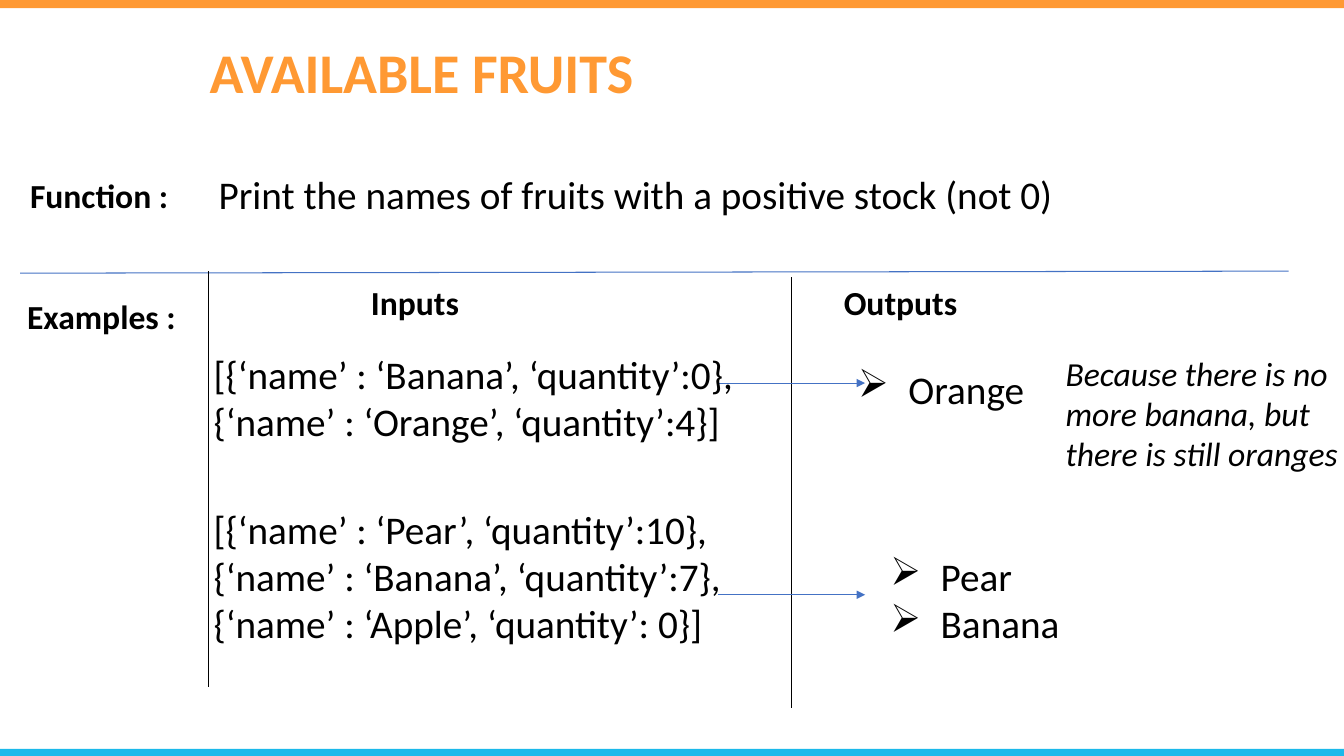
"""Build the Available Fruits exercise slide."""
import pptx
import pptx.util
import pptx.dml.color
import pptx.enum.shapes
import pptx.enum.text
import pptx.oxml
import pptx.oxml.ns
import lxml.etree

Inches = pptx.util.Inches
qn = pptx.oxml.ns.qn


def rgb(value):
    return pptx.dml.color.RGBColor.from_string(value)


def write(sp, box, lines, size, color="000000", bold=False, italic=False):
    sp.left, sp.top, sp.width, sp.height = [Inches(v) for v in box]
    tf = sp.text_frame
    tf.word_wrap = True
    tf.auto_size = pptx.enum.text.MSO_AUTO_SIZE.NONE
    tf.vertical_anchor = pptx.enum.text.MSO_ANCHOR.TOP
    for i, line in enumerate(lines):
        p = tf.add_paragraph() if i else tf.paragraphs[0]
        p.alignment = pptx.enum.text.PP_ALIGN.LEFT
        p.space_before = pptx.util.Pt(0)
        r = p.add_run()
        r.text = line
        r.font.name = "Calibri"
        r.font.size = pptx.util.Pt(size)
        r.font.bold = bold
        r.font.italic = italic
        r.font.color.rgb = rgb(color)


prs = pptx.Presentation()
prs.slide_width = Inches(13.33)
prs.slide_height = Inches(7.5)
s = prs.slides.add_slide(prs.slide_layouts.get_by_name("Two Content"))

for top, height, color in [(0, 0.08, "FF9933"), (7.43, 0.07, "1BB9EA")]:
    sp = s.shapes.add_shape(pptx.enum.shapes.MSO_SHAPE.RECTANGLE,
                            0, Inches(top), prs.slide_width, Inches(height))
    sp.shadow.inherit = False
    sp.fill.solid()
    sp.fill.fore_color.rgb = rgb(color)
    sp.line.fill.background()

lines = [
    (0.2, 2.71, 12.78, 2.69, "4472C4", False),
    (2.07, 2.69, 2.07, 6.82, "000000", False),
    (7.85, 2.75, 7.85, 7.02, "000000", False),
    (7.12, 3.8, 8.58, 3.8, "4472C4", True),
    (7.12, 5.9, 8.58, 5.9, "4472C4", True),
]
for x1, y1, x2, y2, color, arrow in lines:
    cxn = s.shapes.add_connector(pptx.enum.shapes.MSO_CONNECTOR.STRAIGHT,
                                 Inches(x1), Inches(y1), Inches(x2), Inches(y2))
    cxn.line.color.rgb = rgb(color)
    cxn.line.width = pptx.util.Pt(0.75)
    if arrow:
        ln = cxn.line._get_or_add_ln()
        lxml.etree.SubElement(ln, qn("a:tailEnd"), type="triangle")
    lxml.etree.SubElement(cxn._element.spPr, qn("a:effectLst"))

write(s.shapes.title, (1.98, 0.32, 4.46, 0.77), ["AVAILABLE FRUITS"], 40, "FF9933", bold=True)

labels = [
    ("Function :", 0.2, 1.69, 2.04),
    ("Examples :", 0.17, 2.89, 2.07),
    ("Inputs", 3.58, 2.75, 2.38),
    ("Outputs", 8.27, 2.75, 1.51),
]
for text, left, top, width in labels:
    sp = s.shapes.add_textbox(0, 0, 0, 0)
    write(sp, (left, top, width, 0.91), [text], 24, bold=True)

texts = [
    ((2.07, 1.64, 11.14, 0.57), ["Print the names of fruits with a positive stock (not 0)"]),
    ((2.02, 3.43, 5.5, 1.04), ["[{‘name’ : ‘Banana’, ‘quantity’:0},",
                               "{‘name’ : ‘Orange’, ‘quantity’:4}]"]),
    ((2.02, 4.96, 5.83, 1.51), ["[{‘name’ : ‘Pear’, ‘quantity’:10},",
                                "{‘name’ : ‘Banana’, ‘quantity’:7},",
                                "{‘name’ : ‘Apple’, ‘quantity’: 0}]"]),
]
for box, text in texts:
    write(s.shapes.add_textbox(0, 0, 0, 0), box, text, 28)

outputs = [
    (1, (8.41, 3.57, 2.1, 0.57), ["Orange"]),
    (2, (8.73, 5.43, 2.1, 1.04), ["Pear", "Banana"]),
]
for idx, box, fruits in outputs:
    sp = s.placeholders[idx]
    write(sp, box, fruits, 28)
    for p in sp.text_frame.paragraphs:
        pPr = p._p.get_or_add_pPr()
        pPr.set("marL", str(Inches(0.5)))
        pPr.set("indent", str(-Inches(0.5)))
        lxml.etree.SubElement(pPr, qn("a:buFont"), typeface="Wingdings", charset="2")
        lxml.etree.SubElement(pPr, qn("a:buChar"), char="Ø")

write(s.shapes.add_textbox(0, 0, 0, 0), (10.47, 3.45, 3.25, 1.31),
      ["Because there is no more banana, but there is still oranges"], 24, italic=True)

prs.save("out.pptx")
